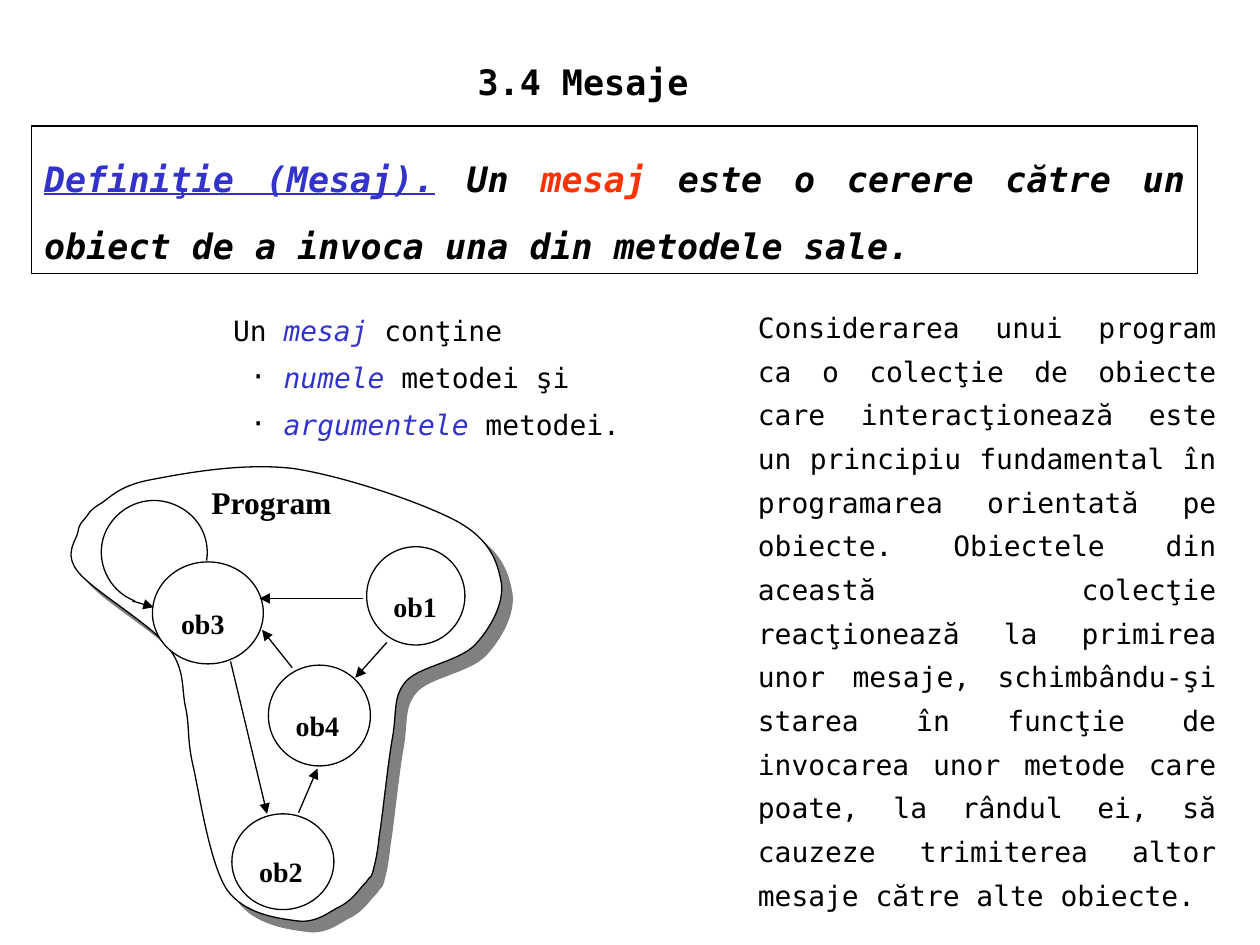
from lxml import etree
from pptx import Presentation
from pptx.dml.color import RGBColor
from pptx.enum.shapes import MSO_CONNECTOR, MSO_SHAPE
from pptx.enum.text import MSO_ANCHOR, MSO_AUTO_SIZE, PP_ALIGN
from pptx.oxml.ns import qn
from pptx.util import Cm, Pt

LEFT, CENTER, JUSTIFY = PP_ALIGN.LEFT, PP_ALIGN.CENTER, PP_ALIGN.JUSTIFY
TOP, MIDDLE = MSO_ANCHOR.TOP, MSO_ANCHOR.MIDDLE
NO_AUTOFIT = MSO_AUTO_SIZE.NONE
RECTANGLE, OVAL = MSO_SHAPE.RECTANGLE, MSO_SHAPE.OVAL
STRAIGHT = MSO_CONNECTOR.STRAIGHT

COLORS = {"black": "000000", "white": "FFFFFF", "blue": "3333CC",
          "red": "FF3300", "gray": "808080"}
MONO, SERIF = "DejaVu Sans Mono", "Times New Roman"
TITLE_ONLY = 5
DIAGRAM_UNITS = 350

PROGRAM_OUTLINE = [
    (18, 44), (21, 41), (20, 39), (28, 34), (37, 29), (43, 19), (69, 14),
    (95, 9), (142, 0), (183, 5), (223, 11), (285, 32), (313, 47),
    (340, 62), (345, 80), (348, 96), (350, 113), (339, 132), (327, 145),
    (314, 158), (284, 162), (273, 173), (262, 185), (265, 196), (262, 216),
    (258, 237), (254, 279), (251, 297), (249, 316), (247, 320), (246, 325),
    (244, 331), (244, 328), (243, 330), (242, 331), (242, 332), (239, 335),
    (235, 339), (230, 347), (221, 352), (212, 356), (202, 366), (186, 364),
    (171, 362), (144, 359), (130, 339), (117, 319), (109, 268), (104, 244),
    (98, 220), (101, 210), (97, 193), (94, 177), (97, 164), (83, 146),
    (69, 128), (24, 102), (12, 87), (0, 72), (11, 62), (12, 55),
    (13, 48), (16, 47), (18, 44)]
SELF_MESSAGE = [(114, 78), (117, 58), (106, 40), (87, 33), (66, 25),
                (42, 35), (33, 57), (25, 78), (36, 102), (57, 110)]
OBJECTS = {"ob1": (241, 67, 78, 78), "ob4": (163, 161, 81, 80),
           "ob2": (134, 279, 81, 76), "ob3": (71, 79, 88, 81)}
MESSAGES = [((55, 110), (72, 115)), ((238, 108), (156, 108)),
            ((257, 143), (232, 171)), ((133, 158), (162, 279)),
            ((187, 278), (202, 243)), ((182, 163), (158, 133))]
PROGRAM_LABEL = (108, 23, 142, 43)


def rgb(name):
    return RGBColor.from_string(COLORS[name])


def add_text(paragraph, text, size=16, font=MONO, color="black",
             bold=False, italic=False, underline=False):
    run = paragraph.add_run()
    run.text = text
    run.font.size = Pt(size)
    run.font.name = font
    run.font.color.rgb = rgb(color)
    run.font.bold = bold
    run.font.italic = italic
    run.font.underline = underline


def format_paragraph(paragraph, spacing, alignment=LEFT):
    paragraph.alignment = alignment
    paragraph.line_spacing = spacing
    paragraph.space_before = Pt(0)
    return paragraph


def add_bullet(paragraph):
    properties = paragraph._p.get_or_add_pPr()
    properties.set("marL", str(Cm(1.02)))
    properties.set("indent", str(-Cm(0.68)))
    color = etree.SubElement(properties, qn("a:buClr"))
    etree.SubElement(color, qn("a:srgbClr")).set("val", COLORS["black"])
    etree.SubElement(properties, qn("a:buFont")).set("typeface", MONO)
    etree.SubElement(properties, qn("a:buChar")).set("char", "·")


def prepare_frame(shape, anchor=TOP, top=0.13, right=0.25):
    frame = shape.text_frame
    frame.word_wrap = True
    frame.auto_size = NO_AUTOFIT
    frame.vertical_anchor = anchor
    frame.margin_left, frame.margin_right = Cm(0.25), Cm(right)
    frame.margin_top, frame.margin_bottom = Cm(top), Cm(0.13)
    return frame


def style_shape(shape, fill=None):
    shape.shadow.inherit = False
    if fill:
        shape.fill.solid()
        shape.fill.fore_color.rgb = rgb(fill)
    else:
        shape.fill.background()
    shape.line.color.rgb = rgb("black")
    shape.line.width = Pt(0.75)


def add_title(slide, box):
    title = slide.shapes.title
    title.left, title.top, title.width, title.height = box
    frame = prepare_frame(title)
    paragraph = format_paragraph(frame.paragraphs[0], 0.78, CENTER)
    add_text(paragraph, "3.4 Mesaje", size=20, bold=True)


def add_definition(slide, box):
    panel = slide.shapes.add_shape(RECTANGLE, *box)
    style_shape(panel)
    frame = prepare_frame(panel)
    paragraph = format_paragraph(frame.paragraphs[0], 1.6, JUSTIFY)
    emphasis = {"size": 20, "bold": True, "italic": True}
    add_text(paragraph, "Definiţie (Mesaj).", color="blue", underline=True, **emphasis)
    add_text(paragraph, " Un ", **emphasis)
    add_text(paragraph, "mesaj", color="red", **emphasis)
    add_text(paragraph, " este o cerere către un obiect de a invoca una din "
             "metodele sale.", **emphasis)


def add_message_parts(slide, box):
    frame = prepare_frame(slide.shapes.add_textbox(*box))
    paragraph = format_paragraph(frame.paragraphs[0], 1.4)
    add_text(paragraph, "Un ")
    add_text(paragraph, "mesaj", color="blue", italic=True)
    add_text(paragraph, " conţine")
    for term, ending in (("numele", " metodei şi"), ("argumentele", " metodei.")):
        paragraph = format_paragraph(frame.add_paragraph(), 1.4)
        add_bullet(paragraph)
        add_text(paragraph, term, color="blue", italic=True)
        add_text(paragraph, ending)


def add_explanation(slide, box):
    frame = prepare_frame(slide.shapes.add_textbox(*box))
    paragraph = format_paragraph(frame.paragraphs[0], 1.3, JUSTIFY)
    add_text(paragraph,
             "Considerarea unui program ca o colecţie de obiecte care "
             "interacţionează este un principiu fundamental în programarea "
             "orientată pe obiecte. Obiectele din această colecţie reacţionează "
             "la primirea unor mesaje, schimbându-şi starea în funcţie de "
             "invocarea unor metode care poate, la rândul ei, să cauzeze "
             "trimiterea altor mesaje către alte obiecte.")


def add_curve(slide, points, close, fill=None):
    builder = slide.shapes.build_freeform(*points[0])
    builder.add_line_segments(points[1:], close=close)
    curve = builder.convert_to_shape()
    segments = list(curve._element.iter(qn("a:lnTo")))
    for index in range(0, len(points) - 1, 3):
        bezier = etree.Element(qn("a:cubicBezTo"))
        segments[index].addprevious(bezier)
        for segment in segments[index:index + 3]:
            bezier.append(segment[0])
    for segment in segments:
        segment.getparent().remove(segment)
    style_shape(curve, fill)
    return curve


def add_drop_shadow(shape):
    effects = shape._element.spPr.find(qn("a:effectLst"))
    shadow = etree.SubElement(effects, qn("a:outerShdw"), dist=str(Pt(8.5)),
                              dir="2700000", algn="ctr", rotWithShape="0")
    etree.SubElement(shadow, qn("a:srgbClr")).set("val", COLORS["gray"])


def add_arrow(slide, start, end):
    arrow = slide.shapes.add_connector(STRAIGHT, *start, *end)
    arrow.line.color.rgb = rgb("black")
    arrow.line.width = Pt(0.75)
    etree.SubElement(arrow.line._get_or_add_ln(), qn("a:tailEnd")).set("type", "triangle")
    etree.SubElement(arrow._element.spPr, qn("a:effectLst"))


def add_program_diagram(slide, box):
    left, top, width, _ = box
    unit = width / DIAGRAM_UNITS

    def place(point):
        return round(left + point[0] * unit), round(top + point[1] * unit)

    def place_box(area):
        return *place(area[:2]), round(area[2] * unit), round(area[3] * unit)

    outline = [place(point) for point in PROGRAM_OUTLINE]
    add_drop_shadow(add_curve(slide, outline, close=True, fill="white"))
    for name, area in OBJECTS.items():
        circle = slide.shapes.add_shape(OVAL, *place_box(area))
        style_shape(circle, "white")
        frame = prepare_frame(circle, anchor=MIDDLE, top=0.67, right=0)
        paragraph = format_paragraph(frame.paragraphs[0], 0.78)
        add_text(paragraph, name, font=SERIF, bold=True)
    loop = [place(point) for point in SELF_MESSAGE]
    add_curve(slide, loop, close=False)
    for start, end in MESSAGES:
        add_arrow(slide, place(start), place(end))
    frame = prepare_frame(slide.shapes.add_textbox(*place_box(PROGRAM_LABEL)), top=0)
    paragraph = format_paragraph(frame.paragraphs[0], 0.78)
    add_text(paragraph, "Program", size=18, font=SERIF, bold=True)


def main():
    presentation = Presentation()
    presentation.slide_width, presentation.slide_height = Cm(25.4), Cm(19.05)
    slide = presentation.slides.add_slide(presentation.slide_layouts[TITLE_ONLY])
    add_title(slide, (Cm(3.18), Cm(1.27), Cm(17.15), Cm(0.91)))
    add_definition(slide, (Cm(0.64), Cm(2.54), Cm(23.5), Cm(2.97)))
    add_message_parts(slide, (Cm(4.45), Cm(5.92), Cm(8.69), Cm(3.1)))
    add_explanation(slide, (Cm(15.03), Cm(5.93), Cm(9.74), Cm(10.82)))
    add_program_diagram(slide, (Cm(1.27), Cm(9.32), Cm(8.89), Cm(9.32)))
    presentation.save("out.pptx")


if __name__ == "__main__":
    main()
